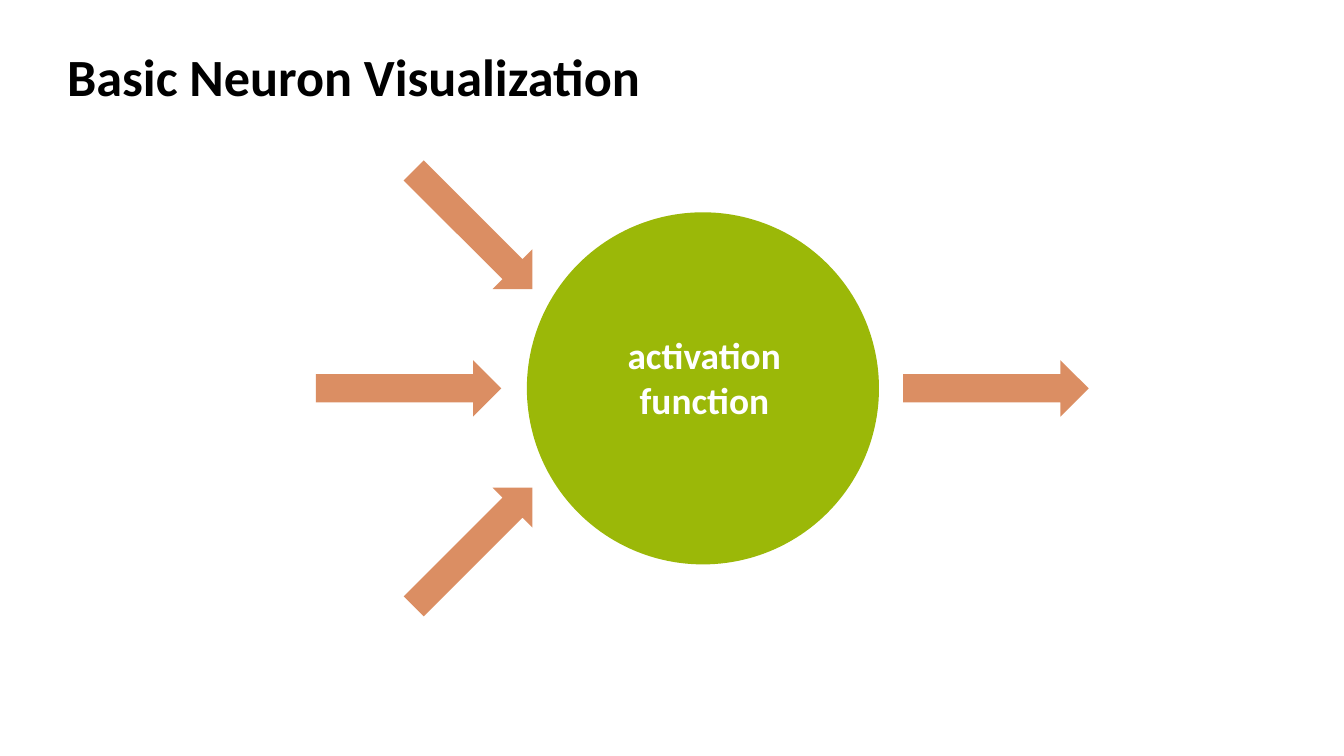
import pptx
import pptx.util
import pptx.dml.color
import pptx.enum.shapes
import pptx.enum.text
import pptx.oxml
import pptx.oxml.ns

Inches = pptx.util.Inches
Pt = pptx.util.Pt
SHAPE = pptx.enum.shapes.MSO_SHAPE


def rgb(value):
    return pptx.dml.color.RGBColor.from_string(value)


class Deck:
    font = "Calibri"
    ink, paper, cell, signal = "000000", "FFFFFF", "9BB808", "D0692F"

    def __init__(self, width, height):
        self.prs = pptx.Presentation()
        self.prs.slide_width = Inches(width)
        self.prs.slide_height = Inches(height)
        self.slide = self.prs.slides.add_slide(self.prs.slide_layouts[6])
        fill = self.slide.background.fill
        fill.solid()
        fill.fore_color.rgb = rgb(self.paper)

    def shape(self, kind, cx, cy, w, h, color):
        sp = self.slide.shapes.add_shape(
            kind, Inches(cx - w / 2), Inches(cy - h / 2), Inches(w), Inches(h))
        sp.shadow.inherit = False
        sp.fill.solid()
        sp.fill.fore_color.rgb = rgb(color)
        sp.line.fill.background()
        return sp

    def arrow(self, cx, cy, length, angle=0):
        sp = self.shape(SHAPE.RIGHT_ARROW, cx, cy, length, 0.42, self.signal)
        sp.rotation = angle
        color = sp._element.spPr.find(".//" + pptx.oxml.ns.qn("a:srgbClr"))
        color.append(pptx.oxml.parse_xml(
            '<a:alpha %s val="75000"/>' % pptx.oxml.ns.nsdecls("a")))

    def text(self, text, x, y, w, h, size, color, before, margin, indent):
        sp = self.slide.shapes.add_textbox(
            Inches(x), Inches(y), Inches(w), Inches(h))
        tf = sp.text_frame
        tf.word_wrap = True
        tf.auto_size = pptx.enum.text.MSO_AUTO_SIZE.SHAPE_TO_FIT_TEXT
        tf.margin_left = tf.margin_right = tf.margin_bottom = 0
        tf.margin_top = Inches(0.01)
        tf.text = text
        p = tf.paragraphs[0]
        p.space_before = Pt(before)
        pPr = p._p.get_or_add_pPr()
        pPr.set("marL", str(Inches(margin)))
        pPr.set("indent", str(Inches(indent)))
        r = p.runs[0]
        r.font.name = self.font
        r.font.size = Pt(size)
        r.font.bold = True
        r.font.color.rgb = rgb(color)


deck = Deck(10, 10 * 9 / 16)
deck.text("Basic Neuron Visualization", 0.49, 0.32, 4.74, 0.49,
          28, deck.ink, 1.1, 0.01, 0)

axis = 2.89
deck.shape(SHAPE.OVAL, 5.23, axis, 2.62, 2.62, deck.cell)
deck.text("activation function", 4.66, 2.46, 1.76, 0.69,
          20, deck.paper, 1, 0.1, -0.09)

for cx in (3.04, 7.41):
    deck.arrow(cx, axis, 1.38)
for side in (-1, 1):
    deck.arrow(3.52, axis + side * 1.18, 1.25, -45 * side)

deck.prs.save("out.pptx")
